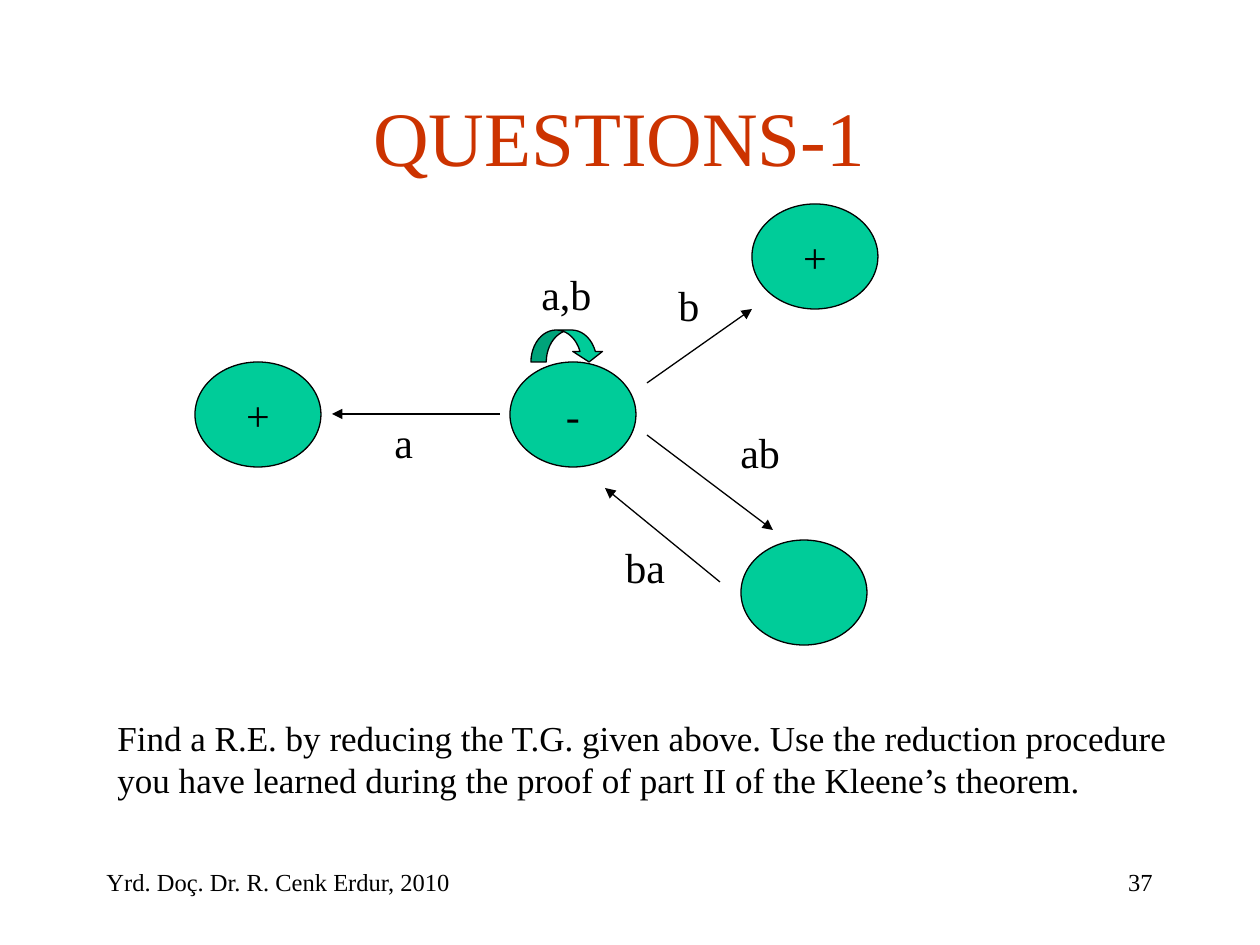
from lxml import etree
from pptx import Presentation
from pptx.dml.color import RGBColor
from pptx.enum.shapes import MSO_CONNECTOR, MSO_SHAPE
from pptx.enum.text import MSO_ANCHOR, PP_ALIGN
from pptx.oxml.ns import qn
from pptx.util import Emu, Pt

LEFT, CENTER, RIGHT = PP_ALIGN.LEFT, PP_ALIGN.CENTER, PP_ALIGN.RIGHT
TOP, MIDDLE = MSO_ANCHOR.TOP, MSO_ANCHOR.MIDDLE
ELLIPSE, LOOP = MSO_SHAPE.OVAL, MSO_SHAPE.CURVED_DOWN_ARROW
STRAIGHT = MSO_CONNECTOR.STRAIGHT
PX = 914400 / 126


def px(n):
    return Emu(round(n * PX))


def color(value):
    return RGBColor.from_string(value)


class Deck:
    font = "Times New Roman"
    ink, accent, node_fill = "000000", "CC3300", "00CC99"
    line_width = Pt(0.75)
    node_size = (126, 105)

    def __init__(self, slide):
        self.s = slide

    def fill_text(self, tf, lines, size, ink, align, anchor, wrap):
        tf.word_wrap = wrap
        tf.vertical_anchor = anchor
        for i, line in enumerate(lines):
            p = tf.add_paragraph() if i else tf.paragraphs[0]
            p.text = line
            p.alignment = align
            p.font.name = self.font
            p.font.size = Pt(size)
            p.font.color.rgb = color(ink)

    def text(self, box, *lines, size=24, ink=ink, align=LEFT, anchor=TOP, wrap=False):
        sp = self.s.shapes.add_textbox(*map(px, box))
        self.fill_text(sp.text_frame, lines, size, ink, align, anchor, wrap)

    def shape(self, kind, box):
        sp = self.s.shapes.add_shape(kind, *map(px, box))
        sp.shadow.inherit = False
        sp.fill.solid()
        sp.fill.fore_color.rgb = color(self.node_fill)
        sp.line.color.rgb = color(self.ink)
        sp.line.width = self.line_width
        return sp

    def node(self, x, y, label=""):
        sp = self.shape(ELLIPSE, (x, y, *self.node_size))
        if label:
            self.fill_text(sp.text_frame, [label], 24, self.ink, CENTER, MIDDLE, False)

    def loop(self, box, *adjustments):
        sp = self.shape(LOOP, box)
        for i, value in enumerate(adjustments):
            sp.adjustments[i] = value

    def arrow(self, *ends):
        c = self.s.shapes.add_connector(STRAIGHT, *map(px, ends))
        c.line.color.rgb = color(self.ink)
        c.line.width = self.line_width
        pr = c._element.spPr
        etree.SubElement(pr.find(qn("a:ln")), qn("a:tailEnd"), type="triangle")
        etree.SubElement(pr, qn("a:effectLst"))


def main():
    prs = Presentation()
    prs.slide_width, prs.slide_height = px(1260), px(945)
    d = Deck(prs.slides.add_slide(prs.slide_layouts[6]))

    d.text((84, 73, 1071, 126), "QUESTIONS-1", size=44, ink=d.accent,
           align=CENTER, anchor=MIDDLE, wrap=True)

    for x, y, label in [(195, 362, "+"), (510, 362, "-"), (752, 204, "+"), (741, 540, "")]:
        d.node(x, y, label)
    d.loop((531, 330, 73, 32), 0.48, 0.93, 0.33)

    for ends in [(500, 414, 332, 414), (647, 383, 752, 309),
                 (647, 435, 773, 530), (720, 582, 605, 488)]:
        d.arrow(*ends)

    for x, y, w, label in [(382, 410, 44, "a"), (529, 262, 76, "a,b"), (666, 273, 46, "b"),
                           (728, 420, 65, "ab"), (613, 535, 65, "ba")]:
        d.text((x, y, w, 63), label)

    d.text((105, 710, 1077, 97),
           "Find a R.E. by reducing the T.G. given above. Use the reduction procedure",
           "you have learned during the proof of part II of the Kleene’s theorem.", size=20)

    d.text((94, 861, 735, 63), "Yrd. Doç. Dr. R. Cenk Erdur, 2010", size=14, wrap=True)
    d.text((903, 861, 262, 63), "37", size=14, align=RIGHT, wrap=True)

    prs.save("out.pptx")


if __name__ == "__main__":
    main()
